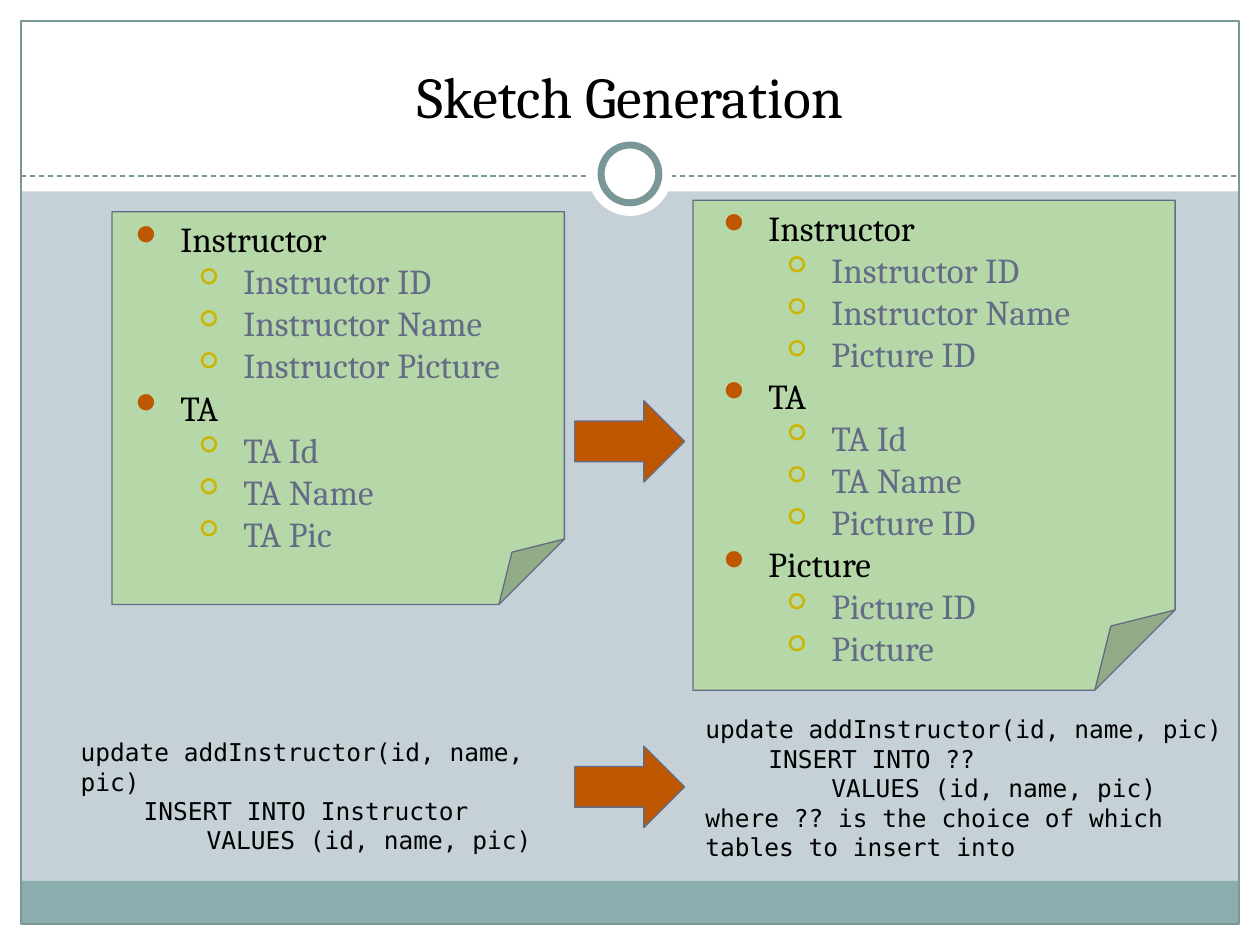
from lxml.etree import SubElement
from pptx import Presentation
from pptx.dml.color import RGBColor
from pptx.enum.dml import MSO_LINE
from pptx.enum.shapes import MSO_CONNECTOR, MSO_SHAPE
from pptx.enum.text import MSO_ANCHOR, PP_ALIGN
from pptx.oxml.ns import qn
from pptx.util import Pt

WHITE = RGBColor(0xFF, 0xFF, 0xFF)
BLACK = RGBColor(0, 0, 0)
BACKGROUND = RGBColor(0xC5, 0xD1, 0xD7)
BAND = RGBColor(0x8C, 0xAD, 0xAE)
TEAL = RGBColor(0x7A, 0x97, 0x98)
GREEN = RGBColor(0xB6, 0xD7, 0xA8)
SLATE = RGBColor(0x64, 0x6B, 0x86)
ORANGE = RGBColor(0xBF, 0x57, 0x00)
GOLD = RGBColor(0xCC, 0xB4, 0x00)
SERIF, MONO = "Cambria", "DejaVu Sans Mono"
WIDTH, HEIGHT = 720, 540
MARGIN = 12
HEADER_HEIGHT = 109.4

OLD_SCHEMA = {
    "Instructor": ["Instructor ID", "Instructor Name", "Instructor Picture"],
    "TA": ["TA Id", "TA Name", "TA Pic"],
}
NEW_SCHEMA = {
    "Instructor": ["Instructor ID", "Instructor Name", "Picture ID"],
    "TA": ["TA Id", "TA Name", "Picture ID"],
    "Picture": ["Picture ID", "Picture"],
}
OLD_CODE = [
    (0, "update addInstructor(id, name, pic)"),
    (1, "INSERT INTO Instructor"),
    (2, "VALUES (id, name, pic)"),
]
NEW_CODE = [
    (0, "update addInstructor(id, name, pic)"),
    (1, "INSERT INTO ??"),
    (2, "VALUES (id, name, pic)"),
    (0, "where ?? is the choice of which tables to insert into"),
]


def add_shape(slide, kind, box, fill=None, line=None, line_width=0.75):
    shape = slide.shapes.add_shape(kind, *map(Pt, box))
    shape.shadow.inherit = False
    if fill is None:
        shape.fill.background()
    else:
        shape.fill.solid()
        shape.fill.fore_color.rgb = fill
    if line is None:
        shape.line.fill.background()
    else:
        shape.line.color.rgb = line
        shape.line.width = Pt(line_width)
    return shape


def add_text_frame(slide, box, inset):
    frame = slide.shapes.add_textbox(*map(Pt, box)).text_frame
    frame.word_wrap = True
    frame.margin_left = frame.margin_right = Pt(7.2)
    frame.margin_top = frame.margin_bottom = Pt(inset)
    return frame


def add_paragraph(frame, index, text):
    paragraph = frame.add_paragraph() if index else frame.paragraphs[0]
    paragraph.text = text
    return paragraph


def set_font(paragraph, name, size, color):
    paragraph.font.name = name
    paragraph.font.size = Pt(size)
    paragraph.font.color.rgb = color


def set_indent(paragraph, left, first):
    properties = paragraph._p.get_or_add_pPr()
    properties.set("marL", str(Pt(left)))
    properties.set("indent", str(Pt(first)))
    return properties


def set_bullet(paragraph, left, character, color):
    properties = set_indent(paragraph, left, -28)
    bullet_color = SubElement(properties, qn("a:buClr"))
    SubElement(bullet_color, qn("a:srgbClr"), val=str(color))
    SubElement(properties, qn("a:buChar"), char=character)


def add_frame(slide, box):
    left, top, width, height = box
    right, bottom = left + width, top + height
    inner = (left + MARGIN, top + MARGIN, width - 2 * MARGIN, height - 2 * MARGIN)
    for border in (
        (left, bottom - MARGIN, width, MARGIN),
        (left, top, width, HEADER_HEIGHT),
        (left, top, MARGIN, height),
        (right - MARGIN, top, MARGIN, height),
    ):
        add_shape(slide, MSO_SHAPE.RECTANGLE, border, WHITE)
    band = (left + MARGIN, bottom - MARGIN - 24.6, inner[2], 24.6)
    add_shape(slide, MSO_SHAPE.RECTANGLE, band, BAND)
    add_shape(slide, MSO_SHAPE.RECTANGLE, inner, line=TEAL)

    rule_y = Pt(top + 100.6)
    rule = slide.shapes.add_connector(
        MSO_CONNECTOR.STRAIGHT, Pt(left + MARGIN), rule_y, Pt(right - MARGIN), rule_y)
    rule.line.color.rgb = TEAL
    rule.line.width = Pt(0.75)
    rule.line.dash_style = MSO_LINE.DASH
    SubElement(rule._element.spPr, qn("a:effectLst"))

    center_x, center_y = left + width / 2, top + 99.4
    for size, line in ((48, None), (33, TEAL)):
        circle = (center_x - size / 2, center_y - size / 2, size, size)
        add_shape(slide, MSO_SHAPE.OVAL, circle, WHITE, line, 4)


def add_title(slide, box, text):
    title = slide.shapes.title
    title.left, title.top, title.width, title.height = map(Pt, box)
    title.text_frame.text = text
    title.text_frame.vertical_anchor = MSO_ANCHOR.BOTTOM
    paragraph = title.text_frame.paragraphs[0]
    paragraph.alignment = PP_ALIGN.CENTER
    set_font(paragraph, SERIF, 33, BLACK)
    title.element.getparent().append(title.element)


def add_schema_note(slide, box, text_left, schema):
    left, top, width, height = box
    add_shape(slide, MSO_SHAPE.FOLDED_CORNER, box, GREEN, SLATE)
    text_box = (text_left, top, left + width - text_left, height)
    frame = add_text_frame(slide, text_box, 3.6)
    rows = [(level, text) for table, columns in schema.items()
            for level, text in [(0, table)] + [(1, column) for column in columns]]
    for index, (level, text) in enumerate(rows):
        paragraph = add_paragraph(frame, index, text)
        paragraph.level = level
        if level:
            set_bullet(paragraph, 72, "⚪", GOLD)
        else:
            set_bullet(paragraph, 36, "⚫", ORANGE)
        set_font(paragraph, SERIF, 20, SLATE if level else BLACK)


def add_code(slide, box, lines):
    frame = add_text_frame(slide, box, 7.2)
    for index, (depth, text) in enumerate(lines):
        paragraph = add_paragraph(frame, index, text)
        if depth:
            set_indent(paragraph, 36 * (depth - 1), 36)
        set_font(paragraph, MONO, 14, BLACK)


def add_arrow(slide, box):
    add_shape(slide, MSO_SHAPE.RIGHT_ARROW, box, ORANGE, SLATE)


def main():
    presentation = Presentation()
    presentation.slide_width, presentation.slide_height = Pt(WIDTH), Pt(HEIGHT)
    slide = presentation.slides.add_slide(presentation.slide_layouts[5])
    slide.background.fill.solid()
    slide.background.fill.fore_color.rgb = BACKGROUND

    add_frame(slide, (0, 0, WIDTH, HEIGHT))
    add_title(slide, (24, 18, 672, 60), "Sketch Generation")
    add_schema_note(slide, (64, 121, 258.5, 224.5), 60, OLD_SCHEMA)
    add_schema_note(slide, (396, 114.5, 275.5, 280), 396, NEW_SCHEMA)
    add_code(slide, (39, 414, 289.4, 65), OLD_CODE)
    add_code(slide, (396, 401, 319.7, 109.4), NEW_CODE)
    for top in (229, 426.4):
        add_arrow(slide, (328.4, top, 62.8, 46.5))

    presentation.save("out.pptx")


if __name__ == "__main__":
    main()
